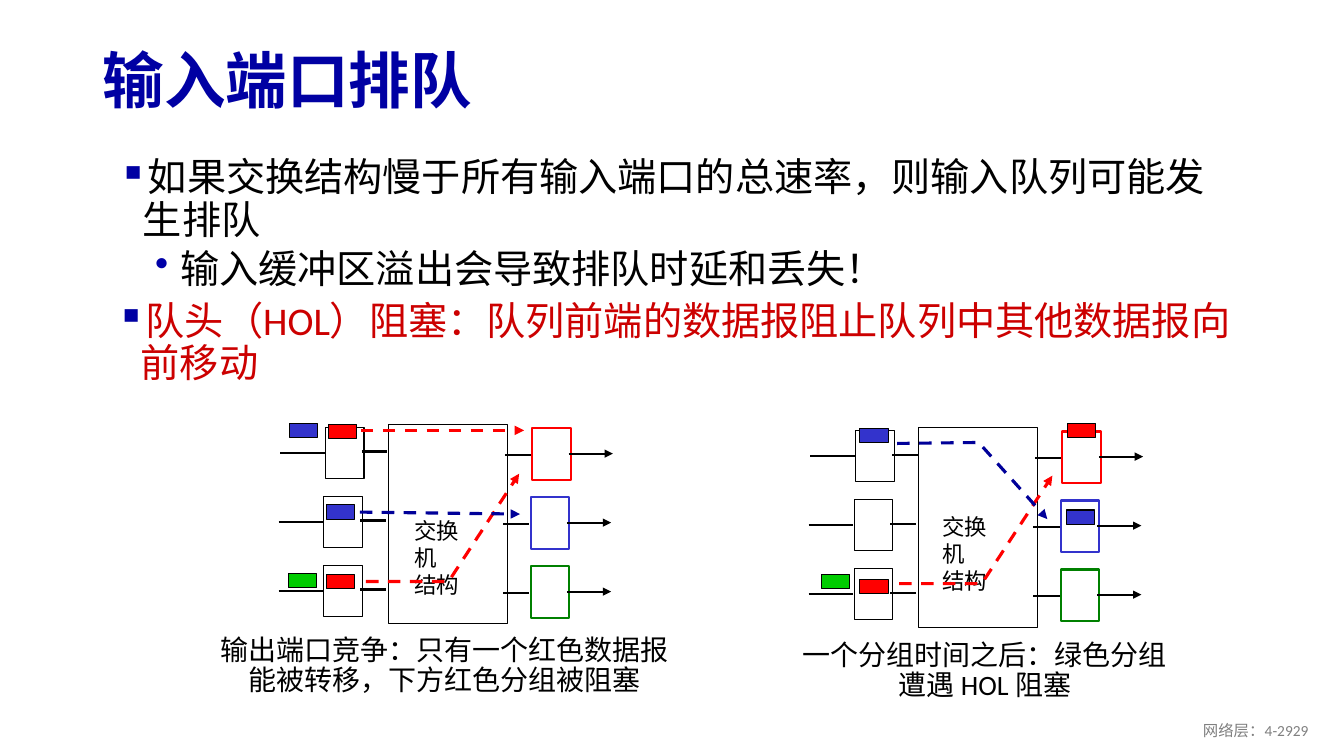
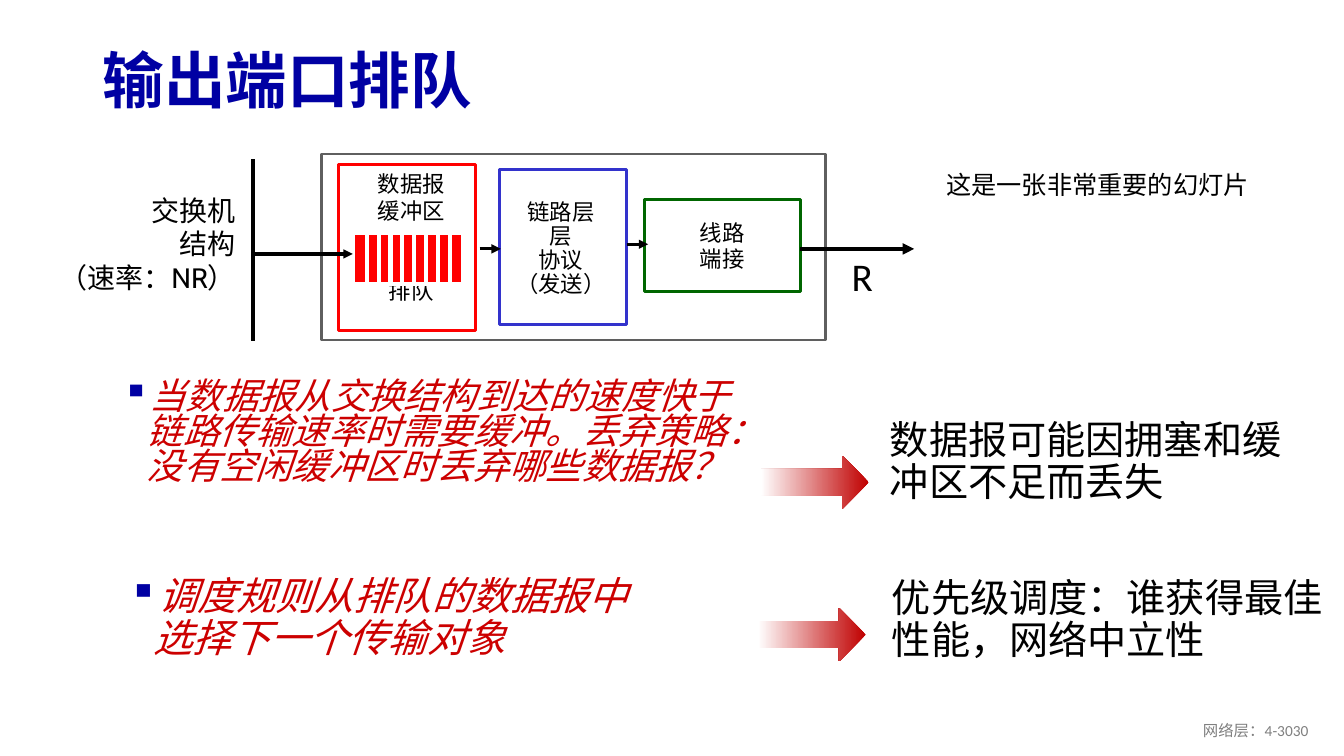
from lxml import etree
from pptx import Presentation
from pptx.dml.color import RGBColor
from pptx.enum.dml import MSO_LINE
from pptx.enum.shapes import MSO_CONNECTOR, MSO_SHAPE
from pptx.enum.text import MSO_ANCHOR, PP_ALIGN
from pptx.oxml.ns import qn
from pptx.util import Pt

RECT, ARROW = MSO_SHAPE.RECTANGLE, MSO_SHAPE.RIGHT_ARROW
STRAIGHT, DASH = MSO_CONNECTOR.STRAIGHT, MSO_LINE.DASH
LEFT, CENTER, RIGHT = PP_ALIGN.LEFT, PP_ALIGN.CENTER, PP_ALIGN.RIGHT
TOP, MIDDLE = MSO_ANCHOR.TOP, MSO_ANCHOR.MIDDLE

BLACK = RGBColor(0x00, 0x00, 0x00)
WHITE = RGBColor(0xFF, 0xFF, 0xFF)
GRAY = RGBColor(0x80, 0x80, 0x80)
FRAME_GRAY = RGBColor(0x5F, 0x5F, 0x5F)
NAVY = RGBColor(0x00, 0x00, 0xA3)
DOT_NAVY = RGBColor(0x00, 0x00, 0xA8)
PATH_BLUE = RGBColor(0x00, 0x00, 0x99)
BLUE = RGBColor(0x33, 0x33, 0xCC)
RED = RGBColor(0xFF, 0x00, 0x00)
TEXT_RED = RGBColor(0xCC, 0x00, 0x00)
ARROW_RED = RGBColor(0xC0, 0x00, 0x00)
GREEN = RGBColor(0x00, 0xCC, 0x00)
PORT_GREEN = RGBColor(0x00, 0x80, 0x00)
DARK_GREEN = RGBColor(0x00, 0x66, 0x00)

# Per level: character, colour, left margin, hanging indent, space before
BULLETS = [("▪", NAVY, 28, 17.3, 10), ("•", DOT_NAVY, 54.7, 18, 5)]


class Deck:
    """Holds the shared style and the current slide."""

    font = "Calibri"

    def __init__(self):
        self.prs = Presentation()
        self.prs.slide_width, self.prs.slide_height = Pt(960), Pt(540)
        self.s = None

    def new_slide(self, title, footer):
        self.s = self.prs.slides.add_slide(self.prs.slide_layouts[6])
        self.text((66.2, 24.5, 828, 70.6), [title], 44, NAVY, bold=True,
                  anchor=MIDDLE, spacing=0.9)
        self.text((725.8, 507.6, 216, 28.8), [footer], 11, GRAY,
                  align=RIGHT, anchor=MIDDLE)

    def text(self, box, lines, size, color=BLACK, font=None, bold=False,
             italic=False, align=LEFT, anchor=TOP, spacing=None, wrap=True):
        sp = self.s.shapes.add_textbox(*map(Pt, box))
        tf = sp.text_frame
        tf.word_wrap = wrap
        tf.vertical_anchor = anchor
        tf.text = "\n".join(lines)
        for p in tf.paragraphs:
            p.alignment = align
            if spacing:
                p.line_spacing = spacing
            for r in p.runs:
                f = r.font
                f.name, f.size = font or self.font, Pt(size)
                f.bold, f.italic = bold, italic
                f.color.rgb = color
        return tf

    def bullets(self, box, lines, size=28, color=BLACK, italic=False,
                spacing=0.9):
        """Each line sits one level below the line before it."""
        tf = self.text(box, lines, size, color, italic=italic, spacing=spacing)
        for level, p in enumerate(tf.paragraphs):
            char, rgb, margin, hang, before = BULLETS[level]
            pPr = p._p.get_or_add_pPr()
            pPr.set("marL", str(Pt(margin)))
            pPr.set("indent", str(-Pt(hang)))
            clr = etree.SubElement(pPr, qn("a:buClr"))
            etree.SubElement(clr, qn("a:srgbClr"), val=str(rgb))
            etree.SubElement(pPr, qn("a:buChar"), char=char)
            if level:
                p.space_before = Pt(before)

    def rect(self, box, line=BLACK, width=0.75, fill=WHITE):
        sp = self.s.shapes.add_shape(RECT, *map(Pt, box))
        sp.shadow.inherit = False
        sp.fill.solid()
        sp.fill.fore_color.rgb = fill
        sp.line.color.rgb = line
        sp.line.width = Pt(width)

    def fade_arrow(self, x, y):
        sp = self.s.shapes.add_shape(ARROW, Pt(x), Pt(y), Pt(77), Pt(38.2))
        sp.shadow.inherit = False
        sp.line.fill.background()
        sp.fill.gradient()
        sp.fill.gradient_angle = 180
        for stop, pos, rgb in zip(sp.fill.gradient_stops, (0, 1),
                                  (ARROW_RED, WHITE)):
            stop.position, stop.color.rgb = pos, rgb

    def line(self, points, color=BLACK, width=1.5, head=False, dash=False):
        """Draws a straight line, or an open outline through more points."""
        pts = [(Pt(x), Pt(y)) for x, y in points]
        if len(pts) == 2:
            sp = self.s.shapes.add_connector(STRAIGHT, *pts[0], *pts[1])
            etree.SubElement(sp._element.spPr, qn("a:effectLst"))
        else:
            fb = self.s.shapes.build_freeform(*pts[0])
            fb.add_line_segments(pts[1:], close=False)
            sp = fb.convert_to_shape()
            sp.shadow.inherit = False
            sp.fill.background()
        sp.line.color.rgb = color
        sp.line.width = Pt(width)
        if dash:
            sp.line.dash_style = DASH
        if head:
            etree.SubElement(sp.line._get_or_add_ln(), qn("a:tailEnd"),
                             type="triangle")

    def switch(self, x, y, label_at, packets, routes):
        """Switch with three ports a side; places count from its corner."""
        self.rect((x, y, 85, 142.6))
        for i, color in enumerate((RED, BLUE, PORT_GREEN)):
            px, py = x - (1.2 if i else 0), y + 49.3 * i
            self.rect((px - 44.6, py + 2.2, 27.4, 36.7))
            self.rect((px + 103, py + 2.9, 27.4, 36.7), color, 1.5)
            for x1, x2, dy, head in ((83.5, 102.2, 21.6, False),
                                     (-18.7, -0.5, 19.4, False),
                                     (-77, -45.4, 20.2, False),
                                     (129, 160.6, 20.9, True)):
                self.line([(px + x1, py + dy), (px + x2, py + dy)], head=head)
        dx, dy = label_at
        self.text((x + dx, y + dy, 59, 46), ["交换机", "结构"], 16, font="Arial")
        for dx, dy, color in packets:
            self.rect((x + dx, y + dy, 20.2, 10.1), fill=color)
        for color, points in routes:
            self.line([(x + dx, y + dy) for dx, dy in points], color, 2.25,
                      head=True, dash=True)


def input_queueing(d):
    d.new_slide("输入端口排队", "网络层：4-2929")
    d.bullets((67, 109.4, 828, 106.6),
              ["如果交换结构慢于所有输入端口的总速率，则输入队列可能发生排队",
               "输入缓冲区溢出会导致排队时延和丢失！"])
    d.bullets((65.5, 211.7, 828, 77.8),
              ["队头（HOL）阻塞：队列前端的数据报阻止队列中其他数据报向前移动"],
              color=TEXT_RED)

    # Contention for one output port
    d.switch(277.2, 303.1, (11.5, 62.7),
             [(-42.5, 0, RED), (-43.9, 57.6, BLUE), (-43.9, 107.3, RED),
              (-70.6, -0.7, BLUE), (-71.3, 106.6, GREEN)],
             [(RED, [(-19.4, 4.3), (97.2, 4.3)]),
              (RED, [(-15.8, 112.3), (43.2, 112.3), (93.6, 35.3)]),
              (PATH_BLUE, [(-20.2, 62.7), (94.3, 64.1)])])
    d.text((141.8, 450.7, 351.4, 72.7),
           ["输出端口竞争：只有一个红色数据报能被转移，下方红色分组被阻塞"],
           20, align=CENTER, spacing=0.9)

    # One packet time later
    d.switch(655.9, 305.3, (10.1, 57.6),
             [(106.6, -2.9, RED), (-41.7, 0.7, BLUE), (-41.7, 108.7, RED),
              (-69.1, 105.1, GREEN), (105.9, 59, BLUE)],
             [(RED, [(-13.7, 111.6), (45.4, 111.6), (95.8, 34.5)]),
              (PATH_BLUE, [(-15.1, 11.5), (43.2, 10.8), (92.2, 65.5)])])
    d.text((562.3, 454.3, 282.2, 51.1),
           ["一个分组时间之后：绿色分组遭遇 HOL 阻塞"],
           20, align=CENTER, spacing=0.9)


def output_queueing(d):
    d.new_slide("输出端口排队", "网络层：4-3030")

    # Questions and their consequences
    d.bullets((69.8, 269.3, 470.9, 111.6),
              ["当数据报从交换结构到达的速度快于链路传输速率时需要缓冲。"
               "丢弃策略：没有空闲缓冲区时丢弃哪些数据报？"],
              25.9, TEXT_RED, italic=True, spacing=0.8)
    d.bullets((74.2, 408.2, 403.9, 101.5),
              ["调度规则从排队的数据报中选择下一个传输对象"],
              color=TEXT_RED, italic=True)
    d.text((628.6, 296.6, 311, 98.6), ["数据报可能因拥塞和缓冲区不足而丢失"],
           28, spacing=0.9)
    d.fade_arrow(543.6, 325.4)
    d.text((630, 409.7, 329.8, 98.6), ["优先级调度：谁获得最佳性能，网络中立性"],
           28, spacing=0.9)
    d.fade_arrow(541.4, 434.2)
    d.text((668.9, 117.4, 234, 28.8), ["这是一张非常重要的幻灯片"], 18, wrap=False)

    # Output port frame and its three stages
    d.rect((229.7, 110.2, 360, 132.5), FRAME_GRAY, 1.5)
    d.rect((460.1, 142.6, 111.6, 65.5), DARK_GREEN, 2.25)
    d.text((460.1, 142.6, 111.6, 65.5), ["线路", "端接"], 16, font="Cabin",
           align=CENTER, anchor=MIDDLE)
    d.rect((357.1, 121, 90.7, 110.9), BLUE, 2.25)
    d.text((359.3, 145.4, 82.8, 65.5), ["链路层", "层", "协议", "（发送）"], 16,
           font="Cabin", align=CENTER, anchor=MIDDLE, spacing=0.9)
    d.rect((241.9, 117.4, 97.9, 118.8), RED, 2.25)
    tf = d.text((248.4, 118.1, 90.7, 115.2), ["数据报", "缓冲区", "排队"], 16,
                font="Arial", align=CENTER)
    tf.paragraphs[2].space_before = Pt(38)

    # Striped queue
    d.rect((252, 166.3, 78.5, 36.7), WHITE, 3, RED)
    for i in range(8):
        x = 262.1 + 8.44 * i
        d.line([(x, 167), (x, 202.3)], WHITE, 3)

    # Switch side and flow arrows
    d.text((30, 141.1, 145.7, 65.5), ["交换机", "结构", "（速率：NR）"], 20,
           font="Cabin", align=RIGHT, anchor=MIDDLE)
    d.line([(180.7, 113.8), (180.7, 243.4)], width=2.25)
    for x1, x2, y, width in ((179.3, 252, 181.4, 2.25),
                             (342.7, 357.8, 177.8, 2.25),
                             (447.8, 463, 174.5, 2.25),
                             (571.7, 653, 177.8, 2.75)):
        d.line([(x1, y), (x2, y)], width=width, head=True)
    d.text((601.2, 176.4, 25.2, 41), ["R"], 28)


def main():
    d = Deck()
    input_queueing(d)
    output_queueing(d)
    d.prs.save("out.pptx")


if __name__ == "__main__":
    main()
